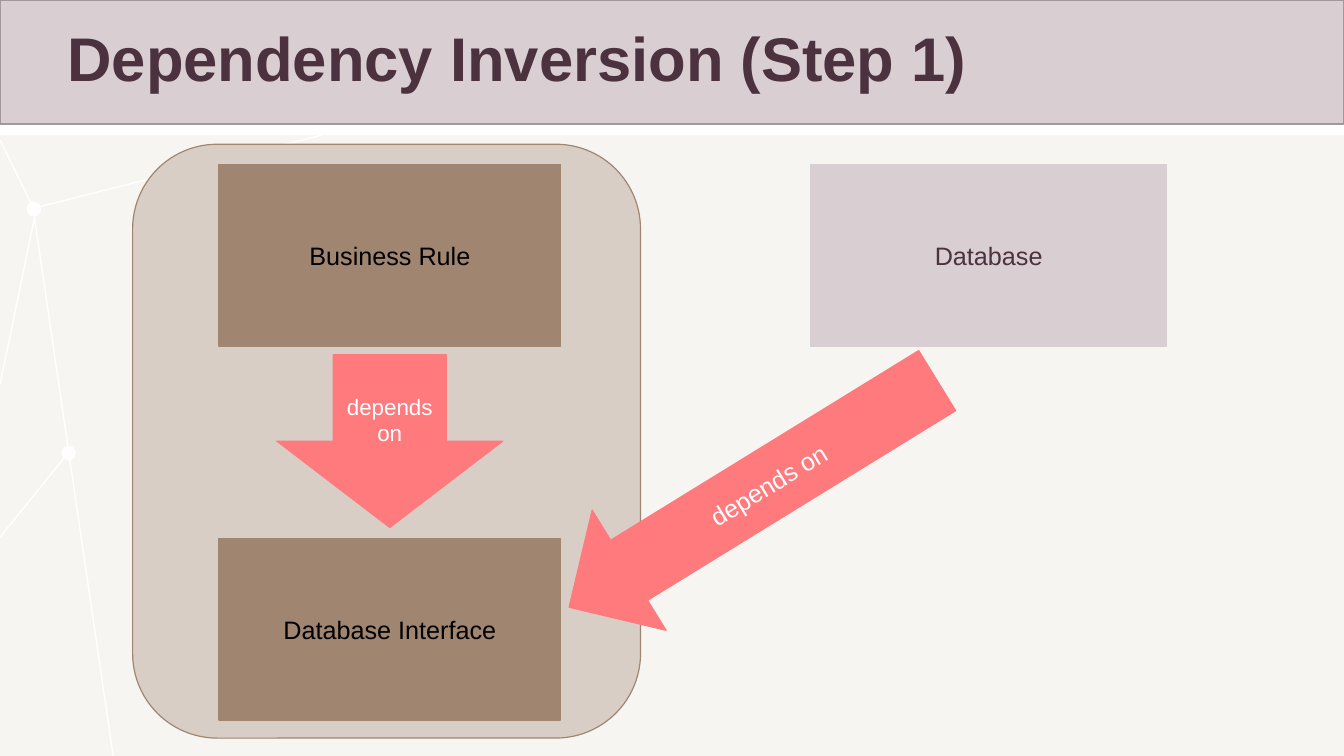
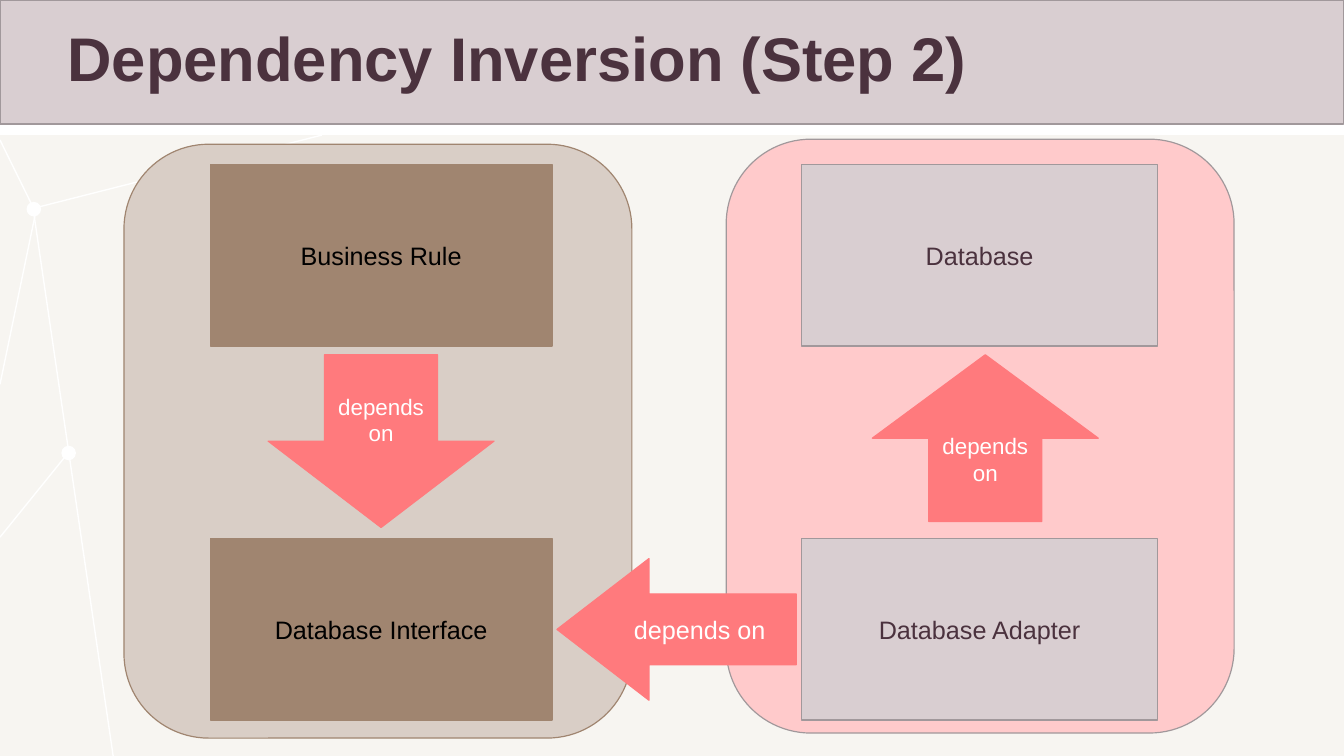
from lxml import etree
from pptx import Presentation
from pptx.dml.color import RGBColor
from pptx.enum.shapes import MSO_CONNECTOR, MSO_SHAPE
from pptx.enum.text import MSO_ANCHOR, MSO_AUTO_SIZE, PP_ALIGN
from pptx.oxml.ns import qn
from pptx.util import Pt

RECTANGLE, ROUNDED, OVAL = MSO_SHAPE.RECTANGLE, MSO_SHAPE.ROUNDED_RECTANGLE, MSO_SHAPE.OVAL
DOWN, UP, LEFT = MSO_SHAPE.DOWN_ARROW, MSO_SHAPE.UP_ARROW, MSO_SHAPE.LEFT_ARROW
STRAIGHT = MSO_CONNECTOR.STRAIGHT
ALIGN_LEFT, ALIGN_CENTER = PP_ALIGN.LEFT, PP_ALIGN.CENTER
MIDDLE, NO_AUTOFIT = MSO_ANCHOR.MIDDLE, MSO_AUTO_SIZE.NONE

BLACK = RGBColor(0x00, 0x00, 0x00)
WHITE = RGBColor(0xFF, 0xFF, 0xFF)
IVORY = RGBColor(0xF7, 0xF5, 0xF1)
PLUM = RGBColor(0x4B, 0x32, 0x3E)
MAUVE = RGBColor(0xD9, 0xCE, 0xD1)
GREY = RGBColor(0xA1, 0x98, 0x9B)
BROWN = RGBColor(0xA0, 0x85, 0x70)
SAND = RGBColor(0xD9, 0xCE, 0xC6)
PINK = RGBColor(0xFF, 0xCA, 0xCB)
CORAL = RGBColor(0xFF, 0x7A, 0x7D)

FONT = "Arial"
LINE_WIDTH = 0.85
SLIDE_WIDTH, SLIDE_HEIGHT = 960.48, 540
TITLE_WIDTH, TITLE_HEIGHT, TITLE_INSET = 960, 88.6, 48.2
BACKDROP_TOP = 96.5
PANEL_WIDTH, PANEL_HEIGHT = 363, 424.2
BOX_TOP, BOX_HEIGHT, BOX_PITCH = 117.4, 129.8, 267.1
ARROW_TOP, ARROW_WIDTH = 253.4, 161.5

# Network behind the content: dot centres and line ends
DOTS, DOT_SIZE = [(24.2, 149.4), (49.1, 323.6)], 9.4
NETWORK_LINES = [
    ((23.8, 149.8), (80.9, 540)),
    ((24.5, 149.8), (0, 100)),
    ((25.9, 148.3), (230, 96.5)),
    ((51.8, 319.7), (0, 383.7)),
    ((25.9, 149.8), (0, 274.5)),
]

# Column styles: offsets are measured from the column's left edge
RULES = {"panel": SAND, "panel_line": BROWN, "panel_top": 103, "box": BROWN, "text": BLACK,
         "box_offset": 61.7, "box_width": 244.3, "arrow": DOWN, "arrow_offset": 103,
         "arrow_height": 123.4}
STORAGE = {"panel": PINK, "panel_line": GREY, "panel_top": 99.4, "box": MAUVE, "text": PLUM,
           "box_offset": 54, "box_width": 254.2, "arrow": UP, "arrow_offset": 104.4,
           "arrow_height": 119.2}

# A column is (style, left, box line, labels); a column of one box has no panel or arrow.
# A link is (left, top, width, height, rotation, head length ratio).
SLIDES = [
    {"title": "Dependency Inversion (Step 1)",
     "columns": [(STORAGE, 525.5, MAUVE, ["Database"]),
                 (RULES, 94.8, BROWN, ["Business Rule", "Database Interface"])],
     "link": (383.8, 302.4, 308.9, 100.8, 328.4, 0.5)},
    {"title": "Dependency Inversion (Step 2)",
     "columns": [(STORAGE, 519, GREY, ["Database", "Database Adapter"]),
                 (RULES, 88.6, BROWN, ["Business Rule", "Database Interface"])],
     "link": (398, 399, 171, 101.2, 0, 0.65)},
]
LINK_TEXT = "depends on"


def set_text(shape, text, size, color, alignment=ALIGN_CENTER, bold=False):
    frame = shape.text_frame
    frame.text = text
    frame.word_wrap = True
    frame.vertical_anchor = MIDDLE
    paragraph = frame.paragraphs[0]
    paragraph.alignment = alignment
    font = paragraph.runs[0].font
    font.name, font.size, font.bold = FONT, Pt(size), bold
    font.color.rgb = color


def paint(shape, fill, line, width=LINE_WIDTH):
    shape.fill.solid()
    shape.fill.fore_color.rgb = fill
    shape.line.color.rgb = line
    shape.line.width = Pt(width)


def add_shape(slide, kind, left, top, width, height, fill, line, line_width=LINE_WIDTH):
    shape = slide.shapes.add_shape(kind, Pt(left), Pt(top), Pt(width), Pt(height))
    shape.shadow.inherit = False
    paint(shape, fill, line, line_width)
    return shape


def add_backdrop(slide):
    backdrop = add_shape(slide, RECTANGLE, 0, BACKDROP_TOP, SLIDE_WIDTH,
                         SLIDE_HEIGHT - BACKDROP_TOP, IVORY, IVORY)
    backdrop.line.fill.background()
    for x, y in DOTS:
        add_shape(slide, OVAL, x - DOT_SIZE / 2, y - DOT_SIZE / 2,
                  DOT_SIZE, DOT_SIZE, WHITE, WHITE, 1)
    for start, end in NETWORK_LINES:
        connector = slide.shapes.add_connector(STRAIGHT, *map(Pt, start + end))
        connector.line.color.rgb = WHITE
        connector.line.width = Pt(1)
        etree.SubElement(connector.element.spPr, qn("a:effectLst"))


def add_title(slide, text):
    title = slide.shapes.title
    title.left, title.top = Pt(0), Pt(0)
    title.width, title.height = Pt(TITLE_WIDTH), Pt(TITLE_HEIGHT)
    paint(title, MAUVE, GREY)
    set_text(title, text, 44, PLUM, ALIGN_LEFT, bold=True)
    title.text_frame.auto_size = NO_AUTOFIT
    title.text_frame.margin_left = Pt(TITLE_INSET)
    title.text_frame.paragraphs[0].line_spacing = 0.9


def add_column(slide, style, left, box_line, labels):
    paired = len(labels) > 1
    if paired:
        add_shape(slide, ROUNDED, left, style["panel_top"], PANEL_WIDTH, PANEL_HEIGHT,
                  style["panel"], style["panel_line"])
    for row, label in enumerate(labels):
        box = add_shape(slide, RECTANGLE, left + style["box_offset"], BOX_TOP + row * BOX_PITCH,
                        style["box_width"], BOX_HEIGHT, style["box"], box_line)
        set_text(box, label, 18, style["text"])
    if paired:
        arrow = add_shape(slide, style["arrow"], left + style["arrow_offset"], ARROW_TOP,
                          ARROW_WIDTH, style["arrow_height"], CORAL, CORAL)
        set_text(arrow, LINK_TEXT, 16, WHITE)


def add_link(slide, left, top, width, height, rotation, head_ratio):
    """Draw the arrow that joins the two columns."""
    arrow = add_shape(slide, LEFT, left, top, width, height, CORAL, CORAL)
    arrow.rotation = rotation
    arrow.adjustments[1] = head_ratio
    set_text(arrow, LINK_TEXT, 18, WHITE)


def main():
    presentation = Presentation()
    presentation.slide_width, presentation.slide_height = Pt(SLIDE_WIDTH), Pt(SLIDE_HEIGHT)
    title_only = presentation.slide_layouts[5]
    for content in SLIDES:
        slide = presentation.slides.add_slide(title_only)
        add_title(slide, content["title"])
        add_backdrop(slide)
        for column in content["columns"]:
            add_column(slide, *column)
        add_link(slide, *content["link"])
    presentation.save("out.pptx")


if __name__ == "__main__":
    main()
